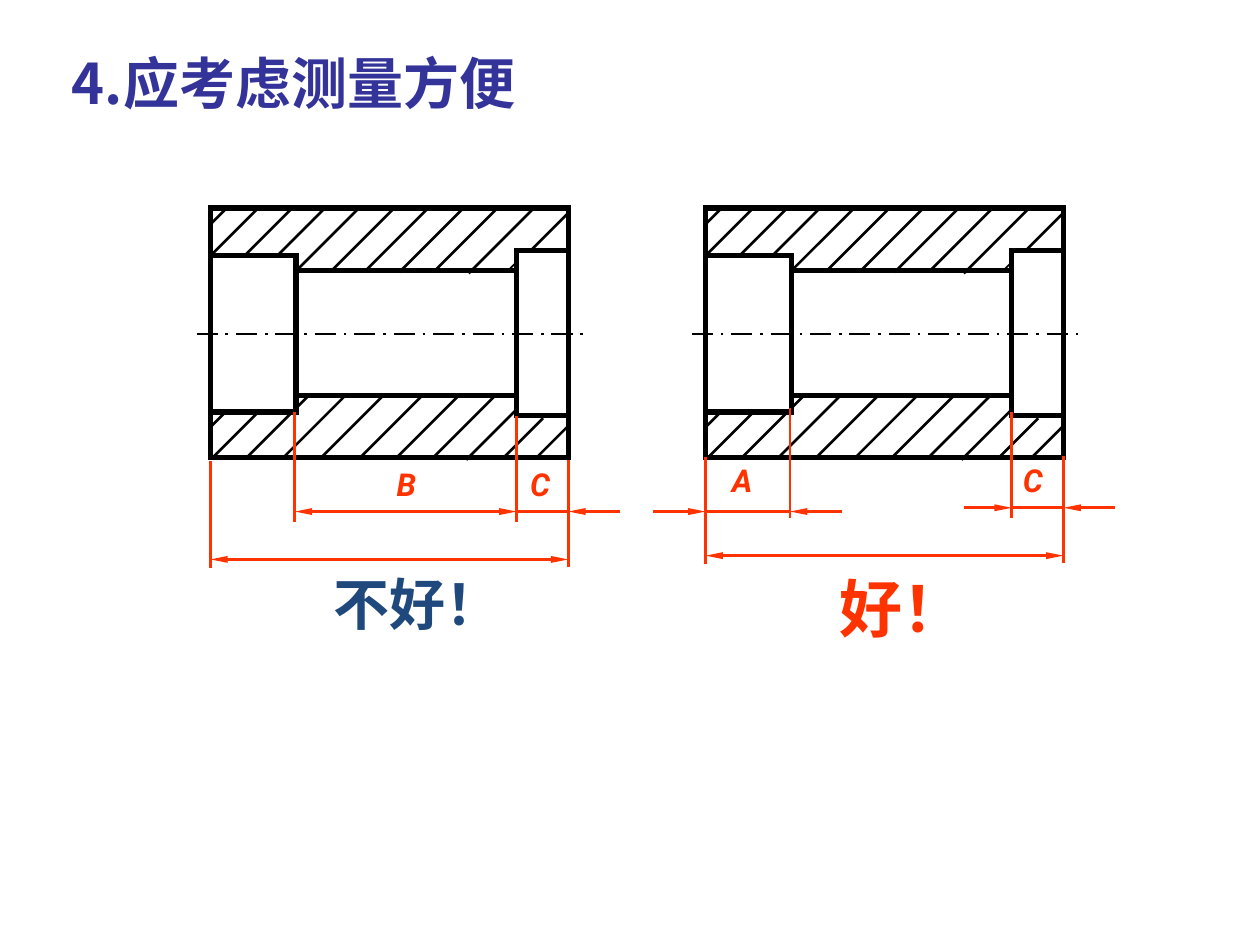
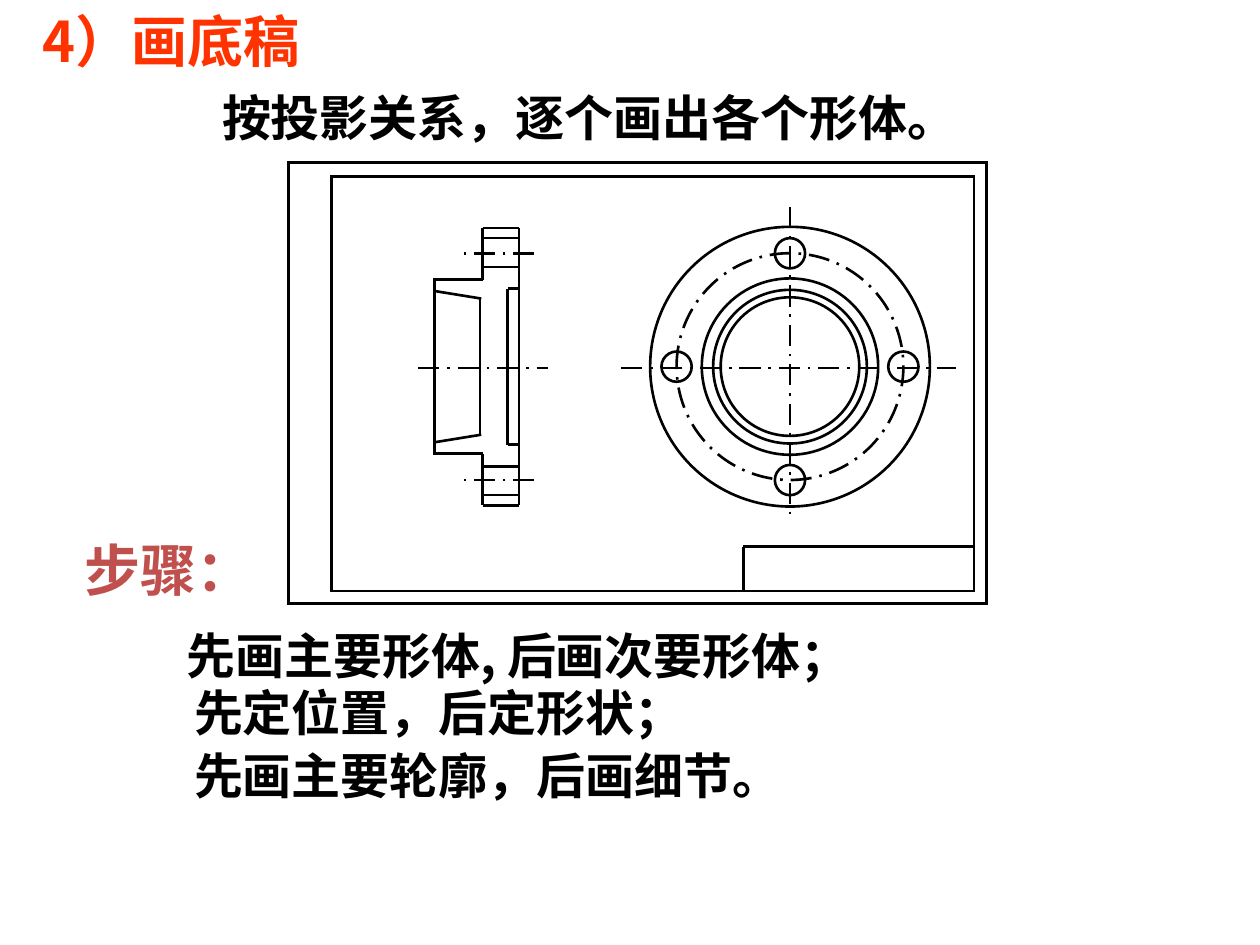
import dataclasses
import math
import pptx
import pptx.dml.color
import pptx.enum.dml
import pptx.enum.shapes
import pptx.enum.text
import pptx.oxml.ns
import pptx.util
from lxml import etree

KIND = pptx.enum.shapes.MSO_SHAPE
ALIGN = pptx.enum.text.PP_ALIGN
MID = pptx.enum.text.MSO_ANCHOR.MIDDLE
DASH = pptx.enum.dml.MSO_LINE.LONG_DASH_DOT


@dataclasses.dataclass(frozen=True)
class Theme:
    ink: str = "000000"
    red: str = "FF3300"
    violet: str = "333399"
    navy: str = "1F497D"
    rose: str = "C0504D"
    font: str = "Noto Sans CJK SC"
    mark: str = "Roboto"
    huge: int = 36
    head: int = 32
    body: int = 28
    label: int = 18
    thin: float = 1
    line: float = 1.5
    bold: float = 3


T = Theme()

# Hatch strokes: lower left x from the part's edge, y, and rise in inches
HATCH = [
    (0, 1.78, .13), (0, 2.03, .37), (.27, 2.03, .38), (.54, 2.02, .38),
    (.68, 2.15, .5), (.95, 2.16, .5), (1.23, 2.15, .5), (1.5, 2.16, .51),
    (1.78, 2.15, .5), (2.05, 2.17, .52), (2.55, 1.98, .29),
    (0, 3.39, .12), (.02, 3.63, .36), (.29, 3.63, .5), (.58, 3.63, .5),
    (.88, 3.63, .5), (1.18, 3.64, .49), (1.48, 3.63, .5), (1.76, 3.64, .51),
    (2.03, 3.65, .4), (2.32, 3.64, .32), (2.58, 3.64, .26),
]


def size(inch):
    return pptx.util.Cm(inch * 2.54)


def put(item, **values):
    for key, value in values.items():
        setattr(item, key, value)


def tint(code):
    return pptx.dml.color.RGBColor.from_string(code)


def node(home, tag, **values):
    return etree.SubElement(home, pptx.oxml.ns.qn(tag), values)


def stroke(item, color, width, dash=None, ends=""):
    line = item.line
    line.color.rgb = tint(color)
    put(line, width=pptx.util.Pt(width), dash_style=dash)
    pen = item._element.spPr.find(pptx.oxml.ns.qn("a:ln"))
    node(pen, "a:miter", lim="800000")
    for key, tag in (("<", "a:headEnd"), (">", "a:tailEnd")):
        if key in ends:
            node(pen, tag, type="triangle", w="sm", len="lg")


def rule(slide, x1, y1, x2, y2, color=T.ink, width=T.line, **look):
    straight = pptx.enum.shapes.MSO_CONNECTOR.STRAIGHT
    item = slide.shapes.add_connector(straight, *map(size, (x1, y1, x2, y2)))
    stroke(item, color, width, **look)
    node(item._element.spPr, "a:effectLst")


def shape(slide, kind, box, width=T.line, dash=None):
    item = slide.shapes.add_shape(kind, *map(size, box))
    item.shadow.inherit = False
    item.fill.background()
    stroke(item, T.ink, width, dash)


def ring(slide, x, y, radius, dash=None):
    box = (x - radius, y - radius, 2 * radius, 2 * radius)
    shape(slide, KIND.OVAL, box, dash=dash)


def place(item, box):
    put(item, **dict(zip(("left", "top", "width", "height"), map(size, box))))


def write(par, text, points, color, font=T.font, slant=False, align=ALIGN.LEFT):
    par.alignment = align
    run = par.add_run()
    run.text = text
    put(run.font, name=font, size=pptx.util.Pt(points), bold=True, italic=slant)
    run.font.color.rgb = tint(color)
    node(run._r.get_or_add_rPr(), "a:ea", typeface=T.font)


def setup(frame, wrap=True, anchor=MID):
    put(frame, word_wrap=wrap, vertical_anchor=anchor,
        auto_size=pptx.enum.text.MSO_AUTO_SIZE.NONE)


def title(slide, text, box, color):
    item = slide.shapes.title
    place(item, box)
    setup(item.text_frame)
    write(item.text_frame.paragraphs[0], text, T.head, color)


def note(slide, text, box, points, color, wrap=False, anchor=MID, **look):
    frame = slide.shapes.add_textbox(*map(size, box)).text_frame
    setup(frame, wrap, anchor)
    write(frame.paragraphs[0], text, points, color, **look)


def label(slide, text, x, y):
    note(slide, text, (x, y, .38, .5), T.label, T.red, font=T.mark,
         anchor=pptx.enum.text.MSO_ANCHOR.TOP, slant=True)


def steps(slide, lines, box):
    item = slide.placeholders[1]
    place(item, box)
    frame = item.text_frame
    setup(frame, anchor=pptx.enum.text.MSO_ANCHOR.TOP)
    for at, (text, left, gap) in enumerate(lines):
        par = frame.add_paragraph() if at else frame.paragraphs[0]
        put(par, line_spacing=pptx.util.Pt(32.5), space_before=pptx.util.Pt(gap))
        props = par._p.get_or_add_pPr()
        props.set("marL", str(size(left)))
        props.set("indent", "0")
        node(props, "a:buNone")
        write(par, text, T.body, T.ink)


def sleeve(slide, x):
    for box in ((x, 1.65, 2.84, 1.98), (x, 2.03, .68, 1.24), (x + 2.43, 1.99, .41, 1.31)):
        shape(slide, KIND.RECTANGLE, box, T.bold)
    for y in (2.15, 3.14):
        rule(slide, x + .67, y, x + 2.43, y, width=T.bold)
    rule(slide, x - .11, 2.65, x + 2.98, 2.65, dash=DASH)
    for left, y, rise in HATCH:
        rule(slide, x + left, y, x + left + rise, y - rise)
    rule(slide, x + 2.36, 2.15, x + 2.43, 2.08, width=T.thin)


def gauge(slide, x, shift, spans):
    for left, top, foot in ((0, 3.66, 4.51), (.67, 3.27, 4.14),
                            (2.43, 3.3, 4.14), (2.84, 3.65, 4.5)):
        rule(slide, x + left, top + shift, x + left, foot + shift, T.red)
    y = 4.44 + shift
    rule(slide, x + 2.84, y, x, y, T.red, ends="<>")
    for start, end, y, ends in spans:
        rule(slide, x + start, y, x + end, y, T.red, ends=ends)


def bores(slide):
    title(slide, "4.应考虑测量方便", (.47, .34, 4.41, .63), T.violet)
    bad, good = 1.67, 5.6
    for x in (bad, good):
        sleeve(slide, x)
    gauge(slide, bad, 0, [(.67, 2.43, 4.06, "<>"), (2.43, 2.84, 4.06, ""),
                          (2.84, 3.25, 4.06, "<")])
    gauge(slide, good, -.03, [(-.42, 0, 4.06, ">"), (0, .67, 4.06, ""),
                              (.67, 1.08, 4.06, "<"), (2.05, 2.43, 4.03, ">"),
                              (2.43, 2.84, 4.03, ""), (2.84, 3.25, 4.03, "<")])
    for text, x, y in (("B", 3.05, 3.64), ("C", 4.11, 3.64),
                       ("A", 5.71, 3.61), ("C", 8.02, 3.61)):
        label(slide, text, x, y)
    note(slide, "不好！", (2.54, 4.47, 1.55, .63), T.head, T.navy,
         font=T.mark, align=ALIGN.CENTER)
    note(slide, "好！", (6.56, 4.47, 1.21, .7), T.huge, T.red,
         font=T.mark, align=ALIGN.CENTER)


def sheet(slide):
    shape(slide, KIND.RECTANGLE, (2.29, 1.29, 5.54, 3.5))
    shape(slide, KIND.RECTANGLE, (2.63, 1.4, 5.1, 3.29))
    rule(slide, 5.9, 4.34, 5.9, 4.69)
    rule(slide, 5.9, 4.34, 7.73, 4.34)


def profile(slide, mid):
    for side in (-1, 1):
        for x1, d1, x2, d2 in (
                (3.83, 1.1, 4.12, 1.1), (3.83, 1.02, 4.12, 1.02),
                (3.83, .79, 4.12, .79), (3.83, 1.1, 3.83, .69),
                (3.45, .69, 3.83, .69), (4.03, .62, 4.12, .62),
                (3.45, .6, 3.82, .54)):
            rule(slide, x1, mid + side * d1, x2, mid + side * d2)
        y = mid + side * .9
        rule(slide, 4.24, y, 3.68, y, dash=DASH)
    for x, half in ((3.45, .7), (3.81, .54), (4.03, .62), (4.12, 1.1)):
        rule(slide, x, mid - half, x, mid + half)
    rule(slide, 3.32, 2.92, 4.35, 2.92, dash=DASH)


def front(slide, x, y):
    for radius in (1.11, .7, .61, .55):
        ring(slide, x, y, radius)
    ring(slide, x, y, .9, DASH)
    for turn in range(4):
        angle = turn * math.pi / 2
        ring(slide, x + .9 * math.cos(angle), y + .9 * math.sin(angle), .12)
    rule(slide, 4.93, 2.92, 7.59, 2.92, dash=DASH)
    rule(slide, x, 1.64, x, 4.13, dash=DASH)


def draft(slide):
    title(slide, "4）画底稿", (.24, 0, 2.77, .63), T.red)
    note(slide, "按投影关系，逐个画出各个形体。", (1.57, .64, 6.21, .57),
         T.body, T.ink, wrap=True, align=ALIGN.CENTER)
    sheet(slide)
    profile(slide, 2.91)
    front(slide, 6.27, 2.91)
    note(slide, "步骤：", (.56, 4.2, 1.55, .63), T.head, T.rose,
         wrap=True, align=ALIGN.CENTER)
    steps(slide, [("先画主要形体, 后画次要形体；", 0, 0),
                  ("先定位置，后定形状；", .06, 0),
                  ("先画主要轮廓，后画细节。", .06, 3.5)], (1.38, 4.93, 6.6, 1.5))


def main():
    deck = pptx.Presentation()
    put(deck, slide_width=size(10), slide_height=size(7.5))
    for layout, draw in ((5, bores), (1, draft)):
        draw(deck.slides.add_slide(deck.slide_layouts[layout]))
    deck.save("out.pptx")


if __name__ == "__main__":
    main()
